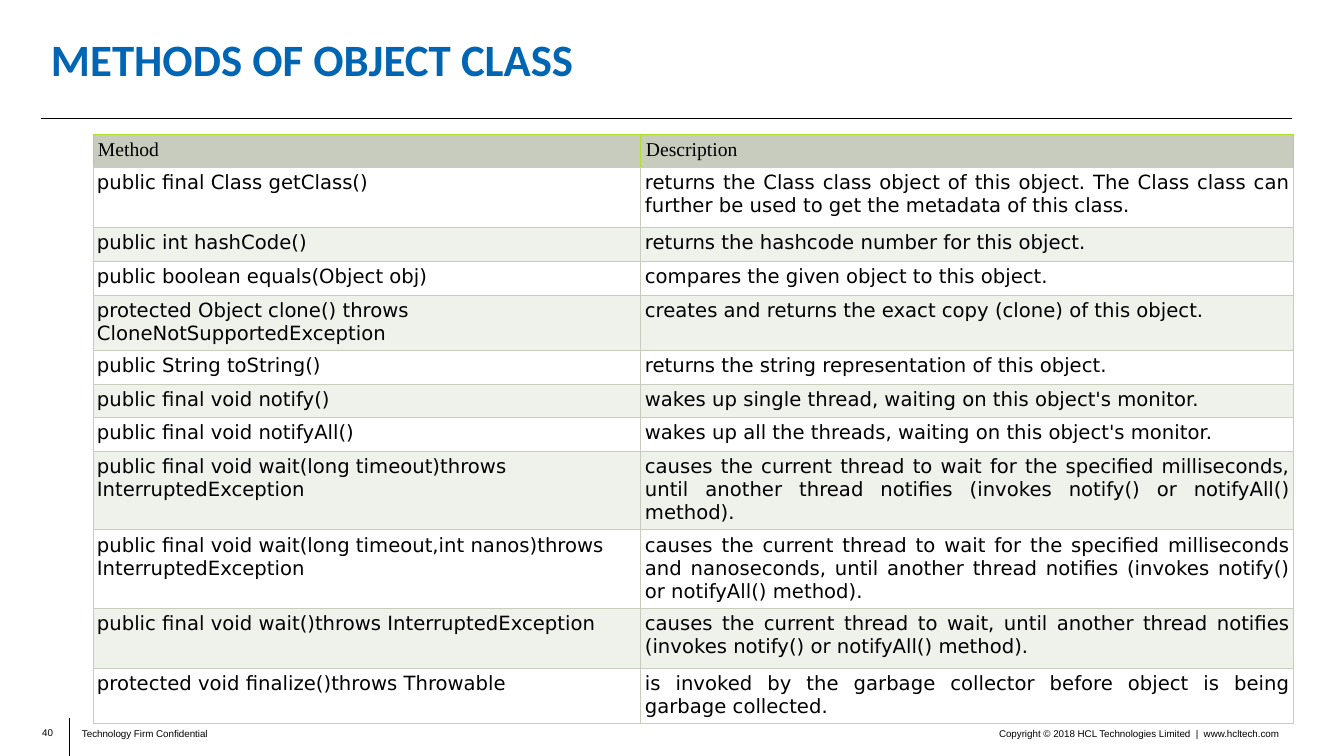
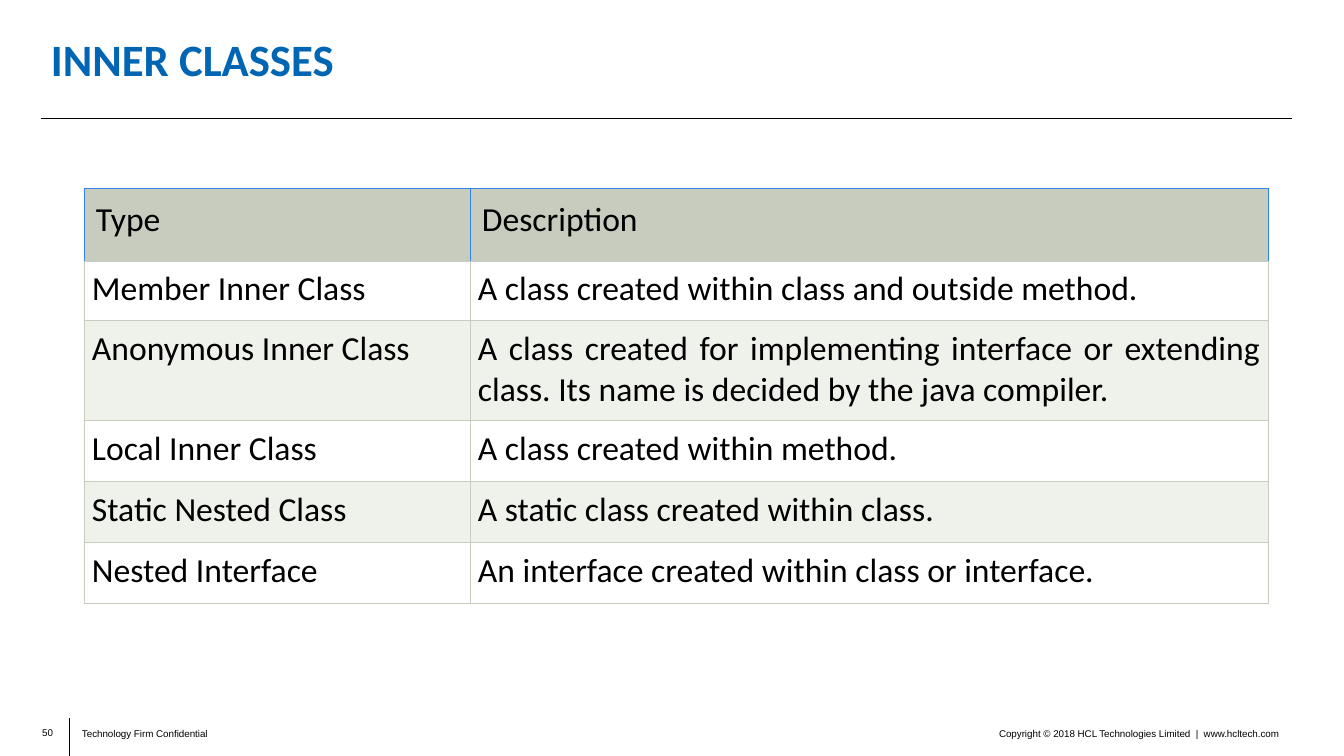
from lxml import etree
from pptx import Presentation
from pptx.dml.color import RGBColor
from pptx.enum.text import MSO_ANCHOR as Anchor, PP_ALIGN as Align
from pptx.oxml.ns import qn
from pptx.util import Pt

PX = 914400 / 100.8
COLORS = {
    "title": "0066B3",
    "text": "000000",
    "head": "C7CCBE",
    "band": "EFF1EB",
    "paper": "FFFFFF",
    "lime": "B0E02C",
    "sky": "3084E8",
}


def px(*lengths):
    return [round(length * PX) for length in lengths]


def write(frame, text, font="Arial", size=7, color="text", bold=False,
          align=Align.LEFT, anchor=Anchor.TOP, wrap=True, margins=(9, 5),
          spacing=None):
    frame.word_wrap = wrap
    frame.vertical_anchor = anchor
    side, top = px(*margins)
    frame.margin_left = frame.margin_right = side
    frame.margin_top = frame.margin_bottom = top
    paragraph = frame.paragraphs[0]
    paragraph.alignment = align
    paragraph.line_spacing = spacing
    run = paragraph.add_run()
    run.text = text
    run.font.name = font
    run.font.size = Pt(size)
    run.font.bold = bold
    run.font.color.rgb = RGBColor.from_string(COLORS[color])


# Content of the two slides
object_methods = [
    ("Method", "Description"),
    ("public final Class getClass()",
     "returns the Class class object of this object. The Class class can "
     "further be used to get the metadata of this class."),
    ("public int hashCode()", "returns the hashcode number for this object."),
    ("public boolean equals(Object obj)",
     "compares the given object to this object."),
    ("protected Object clone() throws CloneNotSupportedException",
     "creates and returns the exact copy (clone) of this object."),
    ("public String toString()",
     "returns the string representation of this object."),
    ("public final void notify()",
     "wakes up single thread, waiting on this object's monitor."),
    ("public final void notifyAll()",
     "wakes up all the threads, waiting on this object's monitor."),
    ("public final void wait(long timeout)throws InterruptedException",
     "causes the current thread to wait for the specified milliseconds, "
     "until another thread notifies (invokes notify() or notifyAll() method)."),
    ("public final void wait(long timeout,int nanos)throws InterruptedException",
     "causes the current thread to wait for the specified milliseconds and "
     "nanoseconds, until another thread notifies (invokes notify() or "
     "notifyAll() method)."),
    ("public final void wait()throws InterruptedException",
     "causes the current thread to wait, until another thread notifies "
     "(invokes notify() or notifyAll() method)."),
    ("protected void finalize()throws Throwable",
     "is invoked by the garbage collector before object is being garbage "
     "collected."),
]
inner_classes = [
    ("Type", "Description"),
    ("Member Inner Class", "A class created within class and outside method."),
    ("Anonymous Inner Class",
     "A class created for implementing interface or extending class. "
     "Its name is decided by the java compiler."),
    ("Local Inner Class", "A class created within method."),
    ("Static Nested Class", "A static class created within class."),
    ("Nested Interface", "An interface created within class or interface."),
]
topics = [
    dict(title="METHODS OF OBJECT CLASS", number="40", rows=object_methods,
         corner=(93, 134), widths=(548, 653),
         heights=(33, 60, 34, 34, 54, 34, 33, 34, 77, 76, 60, 54),
         head_font="Times New Roman", body_font="DejaVu Sans", size=14,
         head_margin=5, body_margin=4, head_border="lime"),
    dict(title="INNER CLASSES", number="50", rows=inner_classes,
         corner=(84, 188), widths=(386, 798),
         heights=(73, 60, 100, 61, 61, 61),
         head_font="Calibri", body_font="Calibri", size=24,
         head_margin=12, body_margin=8, head_border="sky"),
]

deck = Presentation()
deck.slide_width, deck.slide_height = px(1344, 756)
title_only = deck.slide_layouts[5]

for topic in topics:
    slide = deck.slides.add_slide(title_only)
    shapes = slide.shapes

    # Title
    title = shapes.title
    title.left, title.top, title.width, title.height = px(41, 28, 1155, 67)
    write(title.text_frame, topic["title"], font="Calibri", size=32,
          color="title", bold=True, anchor=Anchor.MIDDLE, margins=(10, 5),
          spacing=0.9)

    # Rule under the title and footer divider
    for ends in [(41, 118, 1292, 118), (69, 718, 69, 756)]:
        rule = shapes.add_connector(1, *px(*ends))
        rule.line.width = Pt(0.5)
        rule.line.color.rgb = RGBColor.from_string(COLORS["text"])
        etree.SubElement(rule._element.spPr, qn("a:effectLst"))

    # Footer
    footer = [
        (topic["number"], (41, 727, 12, 11),
         dict(align=Align.RIGHT, anchor=Anchor.MIDDLE, wrap=False,
              margins=(0, 0))),
        ("Technology Firm Confidential", (73, 723, 320, 19), {}),
        ("Copyright © 2018 HCL Technologies Limited  |  www.hcltech.com",
         (783, 723, 505, 21), dict(align=Align.RIGHT)),
    ]
    for words, place, look in footer:
        write(shapes.add_textbox(*px(*place)).text_frame, words, **look)

    # Table
    rows, widths, heights = topic["rows"], topic["widths"], topic["heights"]
    table = shapes.add_table(
        len(rows), len(widths),
        *px(*topic["corner"], sum(widths), sum(heights))).table
    table.first_row = table.horz_banding = False
    for column, width in zip(table.columns, px(*widths)):
        column.width = width
    for row, height in zip(table.rows, px(*heights)):
        row.height = height

    for r, texts in enumerate(rows):
        part = "body" if r else "head"
        fill = "head" if r == 0 else "paper" if r % 2 else "band"
        margin = topic[part + "_margin"]
        for c, words in enumerate(texts):
            cell = table.cell(r, c)
            write(cell.text_frame, words, font=topic[part + "_font"],
                  size=topic["size"],
                  align=Align.JUSTIFY if r and c else Align.LEFT)
            cell.margin_left = cell.margin_right = px(margin)[0]
            cell.margin_top = cell.margin_bottom = px(margin)[0]

            # Borders come before the fill in the cell properties
            properties = cell._tc.get_or_add_tcPr()
            for side in "LRTB":
                accent = r == 0 and side != "B"
                border = etree.SubElement(properties, qn("a:ln" + side),
                                          w=str(Pt(0.75)))
                solid = etree.SubElement(border, qn("a:solidFill"))
                etree.SubElement(
                    solid, qn("a:srgbClr"),
                    val=COLORS[topic["head_border"] if accent else "head"])
            cell.fill.solid()
            cell.fill.fore_color.rgb = RGBColor.from_string(COLORS[fill])

deck.save("out.pptx")
